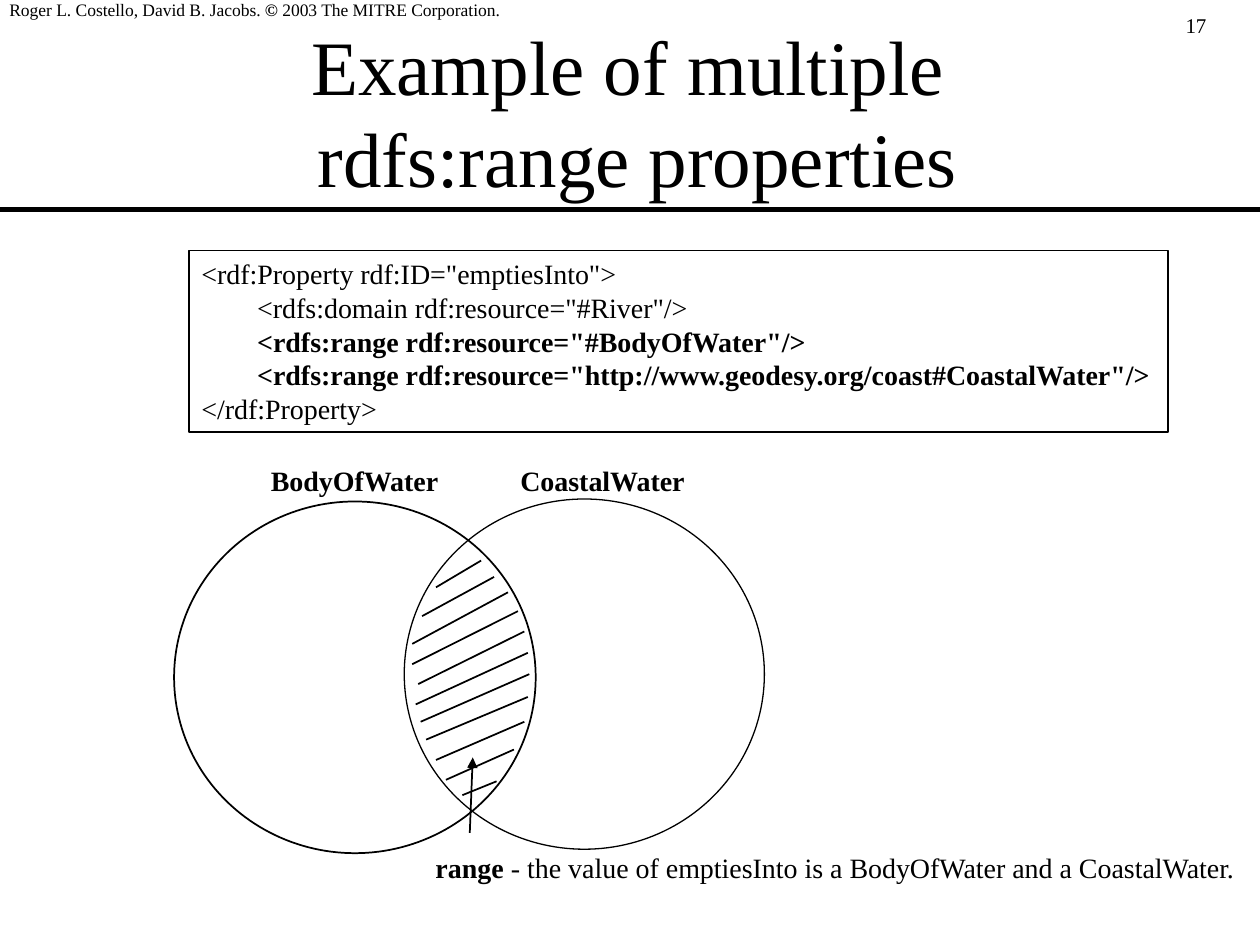
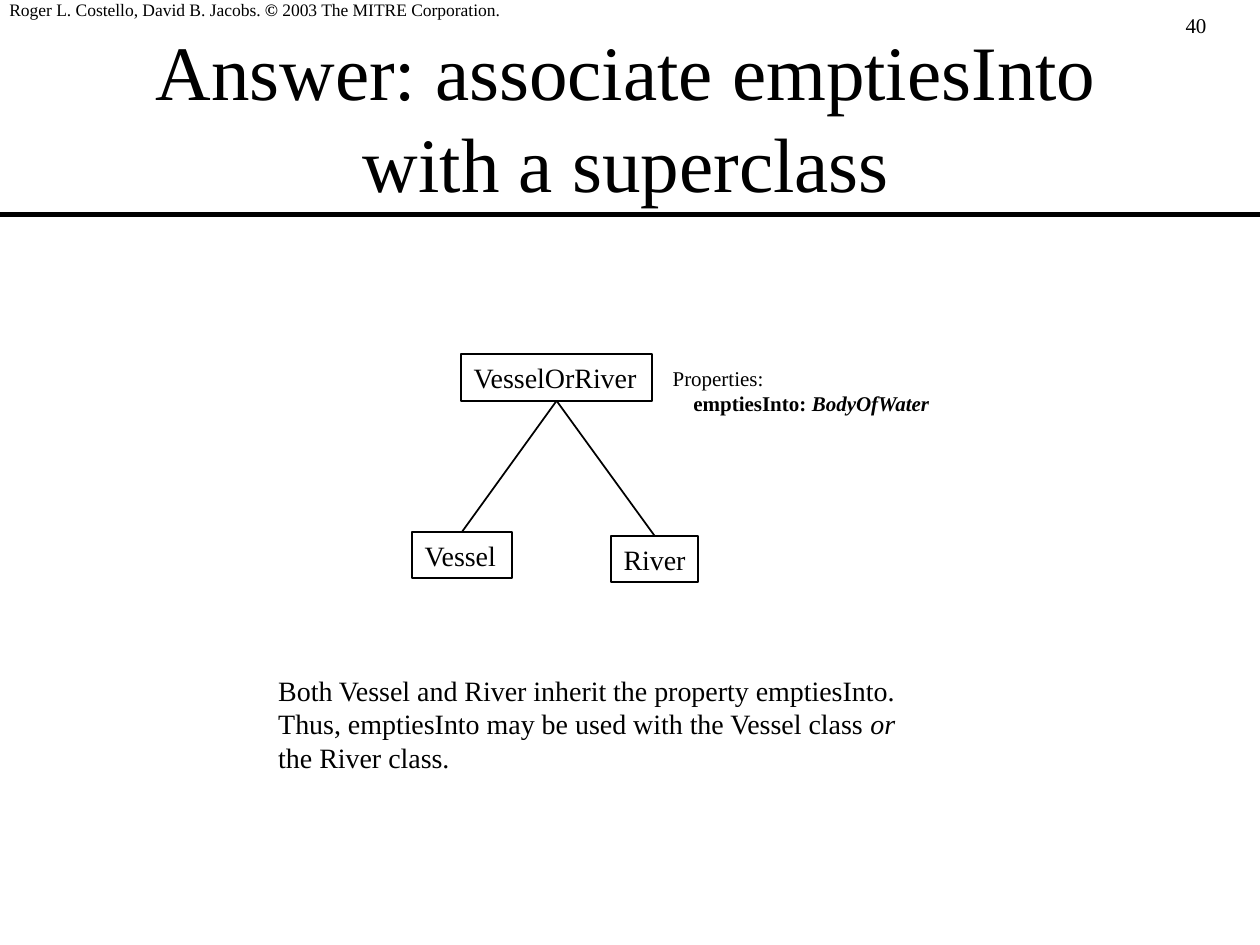
from lxml import etree
from pptx import Presentation
from pptx.dml.color import RGBColor
from pptx.enum import shapes, text
from pptx.oxml.ns import qn
from pptx.util import Cm, Pt

# ---- Shared style (lengths in cm, sizes in points)
FONT, INK, PAPER = "Times New Roman", "000000", "FFFFFF"
WIDTH, HEIGHT = 25.4, 19.05
TITLE_SIZE, BODY_SIZE, NOTE_SIZE, CREDIT_SIZE = 44, 16, 12, 10
TITLE_WIDTH, TITLE_HEIGHT, RULE_DROP = 21.59, 3.18, 3.59
LABEL_HEIGHT = 0.94

# ---- Content: a text is a list of paragraphs, a paragraph a list of
# (words, style) runs, where style holds "b" and "i" for bold and italic
CREDIT = [[("Roger L. Costello, David B. Jacobs. ", ""), ("©", "b"),
           (" 2003 The MITRE Corporation.", "")]]

RANGE_TITLE = "Example of multiple \nrdfs:range properties"
PROPERTY_CODE = [
    [('<rdf:Property rdf:ID="emptiesInto">', "")],
    [('        <rdfs:domain rdf:resource="#River"/>', "")],
    [("        ", ""), ('<rdfs:range rdf:resource="#BodyOfWater"/>', "b")],
    [('        <rdfs:range rdf:resource="http://www.geodesy.org/coast#CoastalWater"/>', "b")],
    [("</rdf:Property>", "")],
]
# Labels of the two sets and of their overlap: words, style, left, top, width
SET_LABELS = [
    ("BodyOfWater", "b", 5.21, 9.22, 3.91),
    ("CoastalWater", "b", 10.24, 9.22, 3.84),
    ("range", "b", 8.53, 17.02, 1.88),
    ("- the value of emptiesInto is a BodyOfWater and a CoastalWater.", "",
     10.05, 17.02, 15.3),
]
# Circles: left, top, width, height, fill, line width
SET_CIRCLES = [
    (3.51, 10.11, 7.29, 7.09, PAPER, 1),
    (8.15, 10.06, 7.26, 7.06, None, 0.75),
]
# Hatching of the overlap: right end, left end
HATCHES = [
    ((9.70, 11.30), (8.79, 11.84)),
    ((9.96, 11.63), (8.51, 12.42)),
    ((10.24, 11.94), (8.31, 12.98)),
    ((10.44, 12.32), (8.31, 13.39)),
    ((10.57, 12.73), (8.43, 13.79)),
    ((10.64, 13.16), (8.38, 14.20)),
    ((10.67, 13.59), (8.48, 14.55)),
    ((10.64, 14.05), (8.59, 14.91)),
    ((10.57, 14.55), (8.79, 15.32)),
    ((10.36, 15.11), (8.99, 15.72)),
    ((10.01, 15.75), (9.32, 16.03)),
]
RANGE_ARROW = ((9.47, 16.79), (9.53, 15.27))

ANSWER_TITLE = "Answer: associate emptiesInto with a superclass"
# Class boxes: name, left, top, width
SUPERCLASS = ("VesselOrRiver", 9.3, 7.14, 3.84)
SUBCLASSES = [("Vessel", 8.31, 10.72, 2.01), ("River", 12.32, 10.8, 1.75)]
PROPERTIES = [
    [("Properties:", "")],
    [("emptiesInto: ", "b"), ("BodyOfWater", "bi")],
]
EXPLANATION = [
    [("Both Vessel and River inherit the property emptiesInto.", "")],
    [("Thus, emptiesInto may be used with the Vessel class ", ""), ("or", "i")],
    [("the River class.", "")],
]


# ---- Drawing helpers
def color(hex_code):
    return RGBColor.from_string(hex_code)


def outline(shape, fill=None, weight=1):
    shape.shadow.inherit = False
    if fill:
        shape.fill.solid()
        shape.fill.fore_color.rgb = color(fill)
    else:
        shape.fill.background()
    shape.line.color.rgb = color(INK)
    shape.line.width = Pt(weight)


def write(slide, words, left, top, width, height, size=BODY_SIZE, style="",
          framed=False, centered=False, indents=()):
    """Add a text, framed or not; indents gives a left margin per paragraph."""
    place = Cm(left), Cm(top), Cm(width), Cm(height)
    if framed:
        box = slide.shapes.add_shape(shapes.MSO_SHAPE.RECTANGLE, *place)
        outline(box)
    else:
        box = slide.shapes.add_textbox(*place)
    frame = box.text_frame
    frame.word_wrap = True
    frame.margin_left = Cm(0.25)
    frame.margin_right = Cm(0.25 if centered else 0)
    frame.margin_top = frame.margin_bottom = Cm(0.13)
    frame.vertical_anchor = text.MSO_ANCHOR.MIDDLE if centered else text.MSO_ANCHOR.TOP

    paragraphs = [[(words, style)]] if isinstance(words, str) else words
    for number, runs in enumerate(paragraphs):
        paragraph = frame.add_paragraph() if number else frame.paragraphs[0]
        paragraph.alignment = text.PP_ALIGN.CENTER if centered else text.PP_ALIGN.LEFT
        if number < len(indents):
            paragraph._p.get_or_add_pPr().set("marL", str(Cm(indents[number])))
        for run_words, run_style in runs:
            for part, line in enumerate(run_words.split("\n")):
                if part:
                    paragraph.add_line_break()
                run = paragraph.add_run()
                run.text = line
                run.font.name = FONT
                run.font.size = Pt(size)
                run.font.bold = "b" in run_style
                run.font.italic = "i" in run_style
                run.font.color.rgb = color(INK)
    return box


def connect(slide, start=(0, 0), end=(0, 0), weight=1, arrow=False):
    line = slide.shapes.add_connector(
        shapes.MSO_CONNECTOR.STRAIGHT, *(Cm(value) for value in (*start, *end)))
    line.line.color.rgb = color(INK)
    line.line.width = Pt(weight)
    if arrow:
        etree.SubElement(line.line._get_or_add_ln(), qn("a:tailEnd"), type="triangle")
    etree.SubElement(line._element.spPr, qn("a:effectLst"))
    return line


def new_slide(deck, title, page, left, top):
    """Add a slide with the page number, credit, title and rule."""
    slide = deck.slides.add_slide(deck.slide_layouts[6])
    write(slide, page, 23.65, 0.13, 1.7, 0.76, size=NOTE_SIZE)
    write(slide, CREDIT, -0.06, -0.15, 10.5, 0.69, size=CREDIT_SIZE)
    write(slide, title, left, top, TITLE_WIDTH, TITLE_HEIGHT, size=TITLE_SIZE, centered=True)
    rule = top + RULE_DROP
    connect(slide, (0, rule), (WIDTH, rule), weight=3)
    return slide


# ---- Slides
def range_slide(deck):
    slide = new_slide(deck, RANGE_TITLE, "17", 2.06, 0.64)
    write(slide, PROPERTY_CODE, 3.81, 5.05, 19.74, 3.66, framed=True)
    for left, top, width, height, fill, weight in SET_CIRCLES:
        circle = slide.shapes.add_shape(
            shapes.MSO_SHAPE.OVAL, Cm(left), Cm(top), Cm(width), Cm(height))
        outline(circle, fill, weight)
    for label, style, left, top, width in SET_LABELS:
        write(slide, label, left, top, width, LABEL_HEIGHT, style=style)
    for right_end, left_end in HATCHES:
        connect(slide, right_end, left_end)
    connect(slide, *RANGE_ARROW, arrow=True)


def answer_slide(deck):
    slide = new_slide(deck, ANSWER_TITLE, "40", 1.83, 0.74)
    superclass, *subclasses = [
        write(slide, *class_box, LABEL_HEIGHT, framed=True)
        for class_box in (SUPERCLASS, *SUBCLASSES)]
    for subclass in subclasses:
        branch = connect(slide)
        branch.begin_connect(superclass, 2)
        branch.end_connect(subclass, 0)
    write(slide, PROPERTIES, 13.31, 7.24, 5.72, 1.27, size=NOTE_SIZE, indents=(0, 0.42))
    write(slide, EXPLANATION, 5.36, 13.44, 13, 2.29)


def main():
    deck = Presentation()
    deck.slide_width, deck.slide_height = Cm(WIDTH), Cm(HEIGHT)
    range_slide(deck)
    answer_slide(deck)
    deck.save("out.pptx")


if __name__ == "__main__":
    main()
